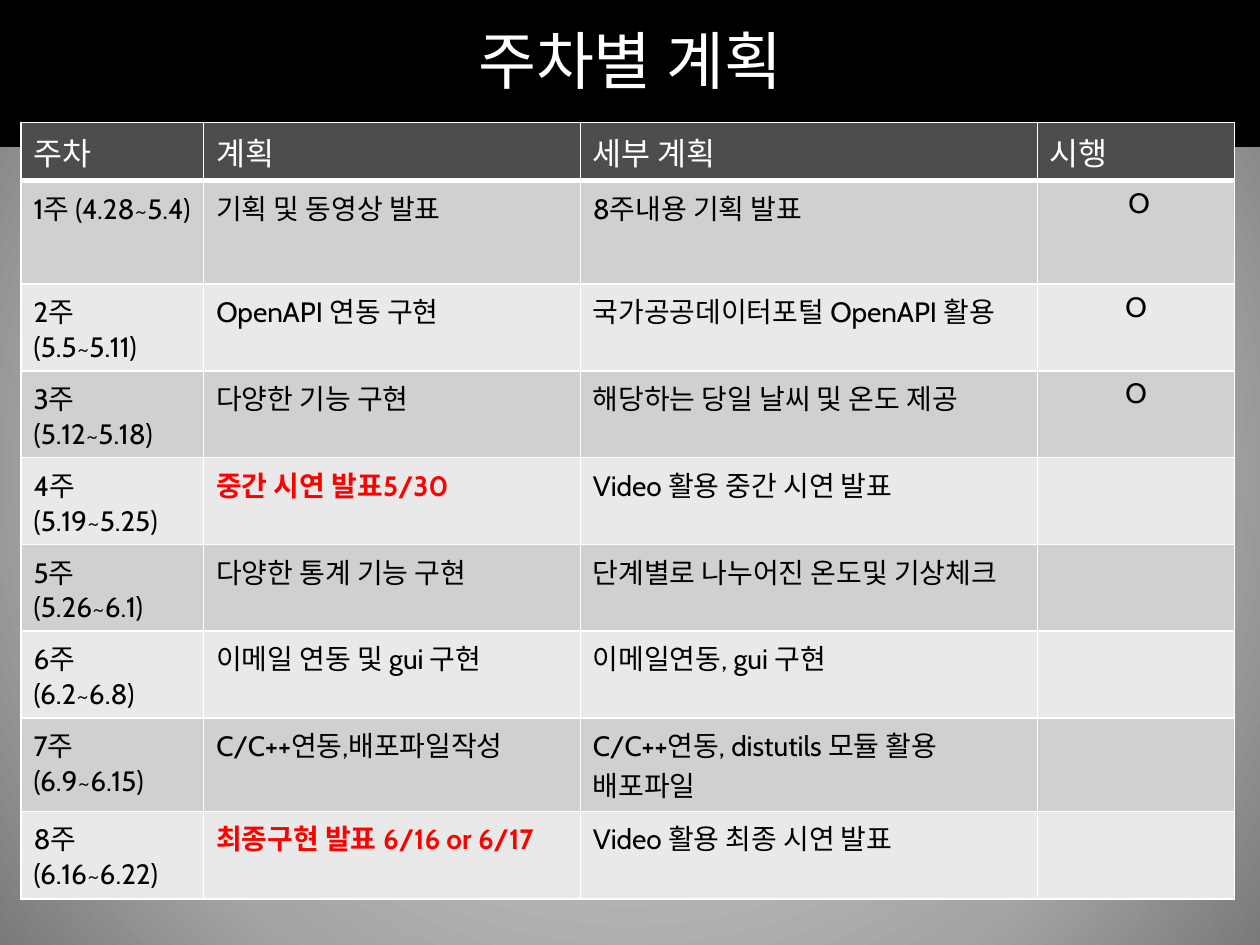
from lxml import etree
from pptx import Presentation
from pptx.dml.color import RGBColor
from pptx.enum import shapes, text
from pptx.oxml import parse_xml
from pptx.oxml.ns import qn, nsdecls
from pptx.util import Pt

TITLE = "주차별 계획"
HEADINGS = ("주차", "계획", "세부 계획", "시행")
WEEKS = [
    (["1주 (4.28~5.4)"], "기획 및 동영상 발표", "8주내용 기획 발표", " O"),
    (["2주", "(5.5~5.11)"], "OpenAPI 연동 구현", "국가공공데이터포털 OpenAPI 활용", "O"),
    (["3주", "(5.12~5.18)"], "다양한 기능 구현", "해당하는 당일 날씨 및 온도 제공", "O"),
    (["4주", "(5.19~5.25)"], "중간 시연 발표5/30", "Video 활용 중간 시연 발표", ""),
    (["5주", "(5.26~6.1)"], "다양한 통계 기능 구현", "단계별로 나누어진 온도및 기상체크", ""),
    (["6주", "(6.2~6.8)"], "이메일 연동 및 gui 구현", "이메일연동, gui 구현", ""),
    (["7주", "(6.9~6.15)"], "C/C++연동,배포파일작성", "C/C++연동, distutils 모듈 활용 배포파일", ""),
    (["8주", "(6.16~6.22)"], "최종구현 발표 6/16 or 6/17", "Video 활용 최종 시연 발표", ""),
]
MILESTONE_WEEKS = (4, 8)
COLUMN_WIDTHS = (104.4, 215.2, 261.2, 112.8)
ROW_HEIGHTS = (26, 59, 41, 41, 34, 41, 37, 41, 50)

THEME = {
    "title_font": "Arial", "body_font": "Cabin",
    "title_size": 36, "heading_size": 18, "body_size": 16,
    "band": "000000", "light": "FFFFFF", "ink": "000000", "alert": "FF0000",
    "heading_fill": "4D4D4D", "row_fills": ("D0D0D0", "E9E9E9"),
    "backdrop": ((0, "E1E1E1"), (72, "A5A5A5"), (100, "7A7A7A")),
}


def color(key):
    return RGBColor.from_string(THEME.get(key, key))


def write(paragraph, words, font, size, ink, bold=False):
    run = paragraph.add_run()
    run.text = words
    run.font.name = THEME[font]
    run.font.size = Pt(THEME[size])
    run.font.color.rgb = color(ink)
    run.font.bold = bold


def paint_backdrop(slide):
    slide.background.fill.solid()
    stops = "".join(f'<a:gs pos="{at * 1000}"><a:srgbClr val="{shade}"/></a:gs>'
                    for at, shade in THEME["backdrop"])
    gradient = parse_xml(
        f'<a:gradFill {nsdecls("a")} rotWithShape="1"><a:gsLst>{stops}</a:gsLst>'
        '<a:path path="circle"><a:fillToRect l="50000" t="50000" r="50000" b="50000"/>'
        '</a:path></a:gradFill>')
    backdrop = slide.background._cSld.find(".//" + qn("p:bgPr"))
    backdrop.replace(backdrop.find(qn("a:solidFill")), gradient)


def style_cell(cell, fill, bottom=1):
    properties = cell._tc.get_or_add_tcPr()
    for side, width in (("L", 1), ("R", 1), ("T", 1), ("B", bottom)):
        edge = etree.SubElement(properties, qn(f"a:ln{side}"), w=str(Pt(width)))
        paint = etree.SubElement(edge, qn("a:solidFill"))
        etree.SubElement(paint, qn("a:srgbClr"), val=THEME["light"])
    cell.fill.solid()
    cell.fill.fore_color.rgb = color(fill)


def add_title(slide):
    band = slide.shapes.add_shape(shapes.MSO_SHAPE.RECTANGLE, 0, 0, Pt(720), Pt(84))
    band.shadow.inherit = False
    band.fill.solid()
    band.fill.fore_color.rgb = color("band")
    band.line.fill.background()

    title = slide.shapes.title
    band._element.addnext(title._element)
    title.left, title.top, title.width, title.height = Pt(36), Pt(13.5), Pt(648), Pt(40.5)
    title.text_frame.vertical_anchor = text.MSO_ANCHOR.MIDDLE
    heading = title.text_frame.paragraphs[0]
    heading.alignment = text.PP_ALIGN.CENTER
    write(heading, TITLE, "title_font", "title_size", "light")


def add_schedule(slide):
    frame = slide.shapes.add_table(len(WEEKS) + 1, len(HEADINGS),
                                   Pt(12), Pt(70), Pt(693.6), Pt(411))
    schedule = frame.table
    for column, width in zip(schedule.columns, COLUMN_WIDTHS):
        column.width = Pt(width)
    for row, height in zip(schedule.rows, ROW_HEIGHTS):
        row.height = Pt(height)

    for cell, heading in zip(schedule.rows[0].cells, HEADINGS):
        style_cell(cell, "heading_fill", bottom=3)
        write(cell.text_frame.paragraphs[0], heading, "body_font", "heading_size", "light")

    for week, (dates, plan, detail, done) in enumerate(WEEKS, 1):
        fill = THEME["row_fills"][(week - 1) % 2]
        columns = (dates, [plan], [detail], [done])
        for col, (cell, lines) in enumerate(zip(schedule.rows[week].cells, columns)):
            style_cell(cell, fill)
            milestone = col == 1 and week in MILESTONE_WEEKS
            for index, line in enumerate(lines):
                frame_text = cell.text_frame
                paragraph = frame_text.add_paragraph() if index else frame_text.paragraphs[0]
                if col == 3:
                    paragraph.alignment = text.PP_ALIGN.CENTER
                if line:
                    write(paragraph, line, "body_font", "body_size",
                          "alert" if milestone else "ink", milestone)
                else:
                    paragraph.font.size = Pt(THEME["body_size"])


def main():
    deck = Presentation()
    deck.slide_width, deck.slide_height = Pt(720), Pt(540)
    slide = deck.slides.add_slide(deck.slide_layouts[5])
    paint_backdrop(slide)
    add_title(slide)
    add_schedule(slide)
    deck.save("out.pptx")


if __name__ == "__main__":
    main()
